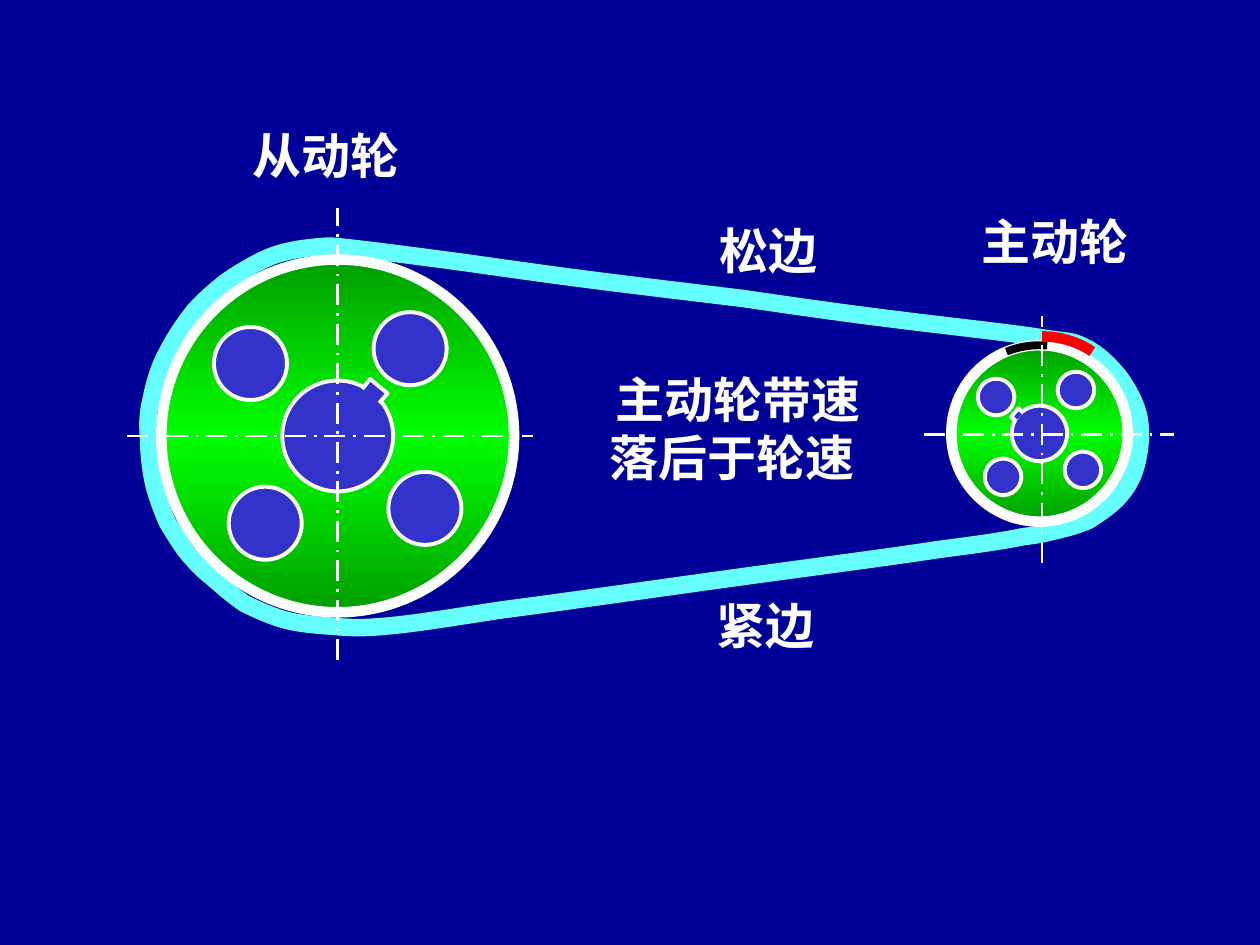
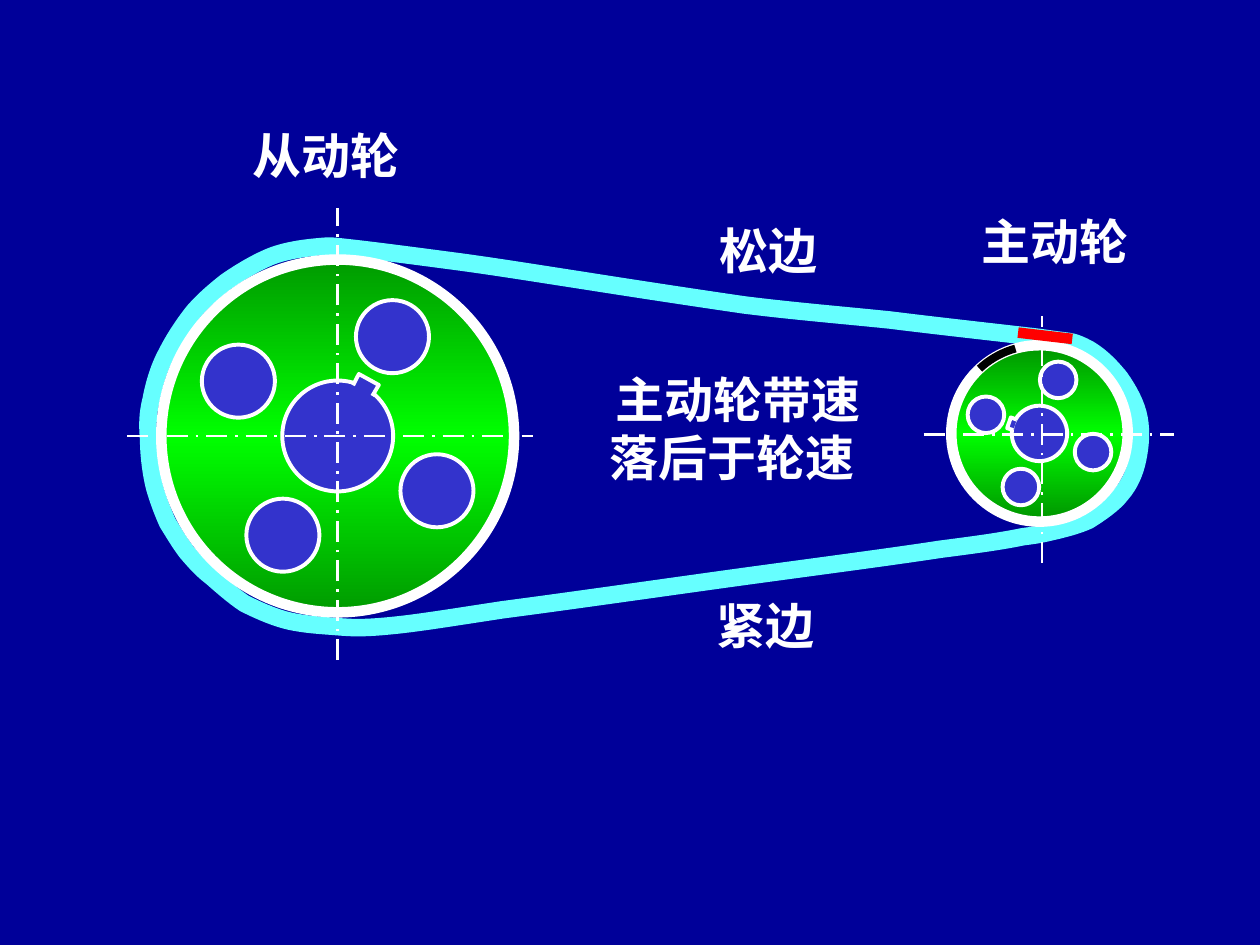
from math import cos, radians, sin

from lxml import etree
from pptx import Presentation
from pptx.dml.color import RGBColor
from pptx.enum import dml, shapes, text
from pptx.oxml import parse_xml
from pptx.oxml.ns import nsdecls, qn
from pptx.util import Inches, Pt

COLORS = {"background": "000099", "belt": "66FFFF", "white": "FFFFFF", "hole": "3333CC",
          "rim_dark": "007500", "rim_light": "00FF00", "wheel_mark": "000000", "belt_mark": "FF0000"}
FONT = "Times New Roman"

DRIVEN = {"center": (2.68, 3.46), "scale": 1, "key_spoke": 3}
DRIVER = {"center": (8.25, 3.44), "scale": 0.5, "key_spoke": 2}

LABELS = [("主动轮 ", 7.55, 1.63, 1.74, 0.57),
          ("从动轮 ", 1.76, 0.95, 1.74, 0.57),
          ("主动轮带速落后于轮速 ", 4.67, 2.88, 2.37, 1.04),
          ("松边 ", 5.55, 1.7, 1.18, 0.57),
          ("紧边 ", 5.53, 4.68, 1.18, 0.57)]

CENTER_LINES = [((1.01, 3.46), (4.23, 3.46)), ((2.68, 5.24), (2.68, 1.65)),
                ((7.33, 3.45), (9.32, 3.45)), ((8.27, 4.47), (8.27, 2.51))]

BELT_START = (8.26, 2.68)
STRAIGHT_SLACK = [
    (8.01, 2.64), (7.45, 2.58), (7.06, 2.53), (6.66, 2.48), (6.31, 2.43), (5.9, 2.37),
    (5.49, 2.32), (4.98, 2.26), (4.6, 2.21), (4.21, 2.16), (3.88, 2.11), (3.58, 2.07)]
SAGGING_SLACK = [
    (8.01, 2.65), (7.46, 2.59), (7.06, 2.54), (6.67, 2.5), (6.3, 2.47), (5.9, 2.42),
    (5.49, 2.36), (5.03, 2.29), (4.65, 2.23), (4.26, 2.17), (3.89, 2.11), (3.58, 2.07)]
BELT_REST = [
    (3.28, 2.03), (2.97, 1.99), (2.79, 1.97), (2.61, 1.95), (2.63, 1.95), (2.52, 1.96),
    (2.41, 1.97), (2.26, 1.99), (2.14, 2.04), (2.02, 2.09), (1.89, 2.17), (1.79, 2.24),
    (1.69, 2.32), (1.62, 2.38), (1.54, 2.47), (1.46, 2.57), (1.38, 2.69), (1.32, 2.81),
    (1.26, 2.92), (1.22, 3.06), (1.2, 3.17), (1.17, 3.29), (1.17, 3.37), (1.18, 3.49),
    (1.18, 3.61), (1.2, 3.77), (1.23, 3.88), (1.26, 3.98), (1.29, 4.06), (1.33, 4.15),
    (1.38, 4.23), (1.42, 4.3), (1.48, 4.38), (1.54, 4.45), (1.6, 4.52), (1.68, 4.58),
    (1.76, 4.65), (1.85, 4.73), (1.94, 4.79), (2.04, 4.84), (2.15, 4.89), (2.26, 4.92),
    (2.37, 4.95), (2.49, 4.96), (2.63, 4.97), (2.76, 4.98), (2.84, 4.99), (3.06, 4.97),
    (3.29, 4.95), (3.53, 4.91), (3.99, 4.84), (4.45, 4.78), (5.22, 4.67), (5.8, 4.59),
    (6.38, 4.51), (7.07, 4.42), (7.46, 4.36), (7.85, 4.31), (7.97, 4.29), (8.12, 4.26),
    (8.28, 4.24), (8.3, 4.23), (8.39, 4.21), (8.47, 4.19), (8.55, 4.17), (8.64, 4.13),
    (8.72, 4.08), (8.84, 4), (8.9, 3.92), (8.97, 3.84), (9.01, 3.74), (9.03, 3.64),
    (9.05, 3.54), (9.06, 3.43), (9.04, 3.32), (9.02, 3.21), (8.96, 3.1), (8.89, 3),
    (8.81, 2.9), (8.71, 2.8), (8.6, 2.75), (8.49, 2.7), (8.52, 2.72), BELT_START]
BELT_MARK_CURVE = [(8.27, 2.67), (8.41, 2.67), (8.55, 2.71), (8.67, 2.79)]
BELT_MARK_LINE = ((8.08, 2.64), (8.51, 2.69))


def polar(center, radius, angle):
    return (center[0] + radius * cos(radians(angle)), center[1] + radius * sin(radians(angle)))


class Drawing:
    def __init__(self, prs):
        self.prs = prs
        self.s = None

    def new_slide(self):
        self.s = self.prs.slides.add_slide(self.prs.slide_layouts[6])
        fill = self.s.background.fill
        fill.solid()
        fill.fore_color.rgb = RGBColor.from_string(COLORS["background"])

    def style(self, sp, line, width, fill=None):
        sp.shadow.inherit = False
        sp.line.color.rgb = RGBColor.from_string(COLORS[line])
        sp.line.width = Pt(width)
        if fill:
            sp.fill.solid()
            sp.fill.fore_color.rgb = RGBColor.from_string(COLORS[fill])
        else:
            sp.fill.background()

    def circle(self, center, radius, width, fill=None):
        x, y = center
        sp = self.s.shapes.add_shape(shapes.MSO_SHAPE.OVAL, Inches(x - radius), Inches(y - radius),
                                     Inches(2 * radius), Inches(2 * radius))
        self.style(sp, "white", width, fill)
        return sp

    def rim(self, center, radius, turn):
        sp = self.circle(center, radius, 6)
        sp.rotation = turn
        stops = "".join(f'<a:gs pos="{pos}"><a:srgbClr val="{COLORS[color]}"/></a:gs>'
                        for pos, color in ((0, "rim_dark"), (50000, "rim_light"), (100000, "rim_dark")))
        grad = parse_xml(f'<a:gradFill {nsdecls("a")} rotWithShape="0"><a:gsLst>{stops}</a:gsLst>'
                         '<a:lin ang="5400000" scaled="1"/></a:gradFill>')
        spPr = sp._element.spPr
        spPr.replace(spPr.find(qn("a:noFill")), grad)

    def outline(self, points, line, width, fill=None, close=False):
        points = [(Inches(x), Inches(y)) for x, y in points]
        builder = self.s.shapes.build_freeform(*points[0])
        builder.add_line_segments(points[1:], close=close)
        sp = builder.convert_to_shape()
        self.style(sp, line, width, fill)
        return sp

    def curve(self, points, line, width, close=False):
        sp = self.outline(points, line, width, close=close)
        segments = list(sp._element.iter(qn("a:lnTo")))
        for i in range(0, len(segments), 3):
            bezier = etree.Element(qn("a:cubicBezTo"))
            segments[i].addprevious(bezier)
            for segment in segments[i:i + 3]:
                bezier.append(segment[0])
                segment.getparent().remove(segment)

    def line(self, start, end, color, width, dash=None):
        c = self.s.shapes.add_connector(shapes.MSO_CONNECTOR.STRAIGHT,
                                        *(Inches(v) for v in (*start, *end)))
        c.line.color.rgb = RGBColor.from_string(COLORS[color])
        c.line.width = Pt(width)
        if dash:
            c.line.dash_style = dash
        etree.SubElement(c._element.spPr, qn("a:effectLst"))

    def label(self, words, *box):
        tf = self.s.shapes.add_textbox(*(Inches(v) for v in box)).text_frame
        tf.word_wrap = True
        tf.auto_size = text.MSO_AUTO_SIZE.SHAPE_TO_FIT_TEXT
        p = tf.paragraphs[0]
        p.text = words
        p.alignment = text.PP_ALIGN.CENTER
        p.font.name = FONT
        p.font.size = Pt(28)
        p.font.bold = True
        p.font.color.rgb = RGBColor.from_string(COLORS["white"])

    def wheel(self, center, scale, key_spoke, turn):
        self.rim(center, 1.4 * scale, turn)
        for spoke in range(4):
            self.circle(polar(center, 0.9 * scale, turn + 90 * spoke), 0.29 * scale, 2.25, "hole")
        self.circle(center, 0.44 * scale, 2.25, "hole")
        key_angle = turn + 90 * key_spoke
        key = [polar(center, radius * scale, key_angle + offset)
               for radius, offset in ((0.42, -12), (0.52, -10), (0.52, 10), (0.42, 12))]
        self.outline(key, "white", 2.25, "hole")

    def wheel_mark(self, turn):
        arc = [polar(DRIVER["center"], 0.7, turn - 125 - step) for step in range(0, 28, 3)]
        self.outline(arc, "wheel_mark", 4.5)

    def drive(self, slack_side, driver_turn, driven_turn):
        self.new_slide()
        self.curve([BELT_START] + slack_side + BELT_REST, "belt", 10, close=True)
        self.wheel(**DRIVER, turn=driver_turn)
        self.wheel_mark(driver_turn)
        self.wheel(**DRIVEN, turn=driven_turn)
        for start, end in CENTER_LINES:
            self.line(start, end, "white", 1.5, dml.MSO_LINE.LONG_DASH_DOT)
        for label in LABELS:
            self.label(*label)


def main():
    prs = Presentation()
    prs.slide_width, prs.slide_height = Inches(10), Inches(7.5)
    drawing = Drawing(prs)
    drawing.drive(STRAIGHT_SLACK, driver_turn=40, driven_turn=39.7)
    drawing.curve(BELT_MARK_CURVE, "belt_mark", 6)
    drawing.drive(SAGGING_SLACK, driver_turn=19.2, driven_turn=28.9)
    drawing.line(*BELT_MARK_LINE, "belt_mark", 6)
    prs.save("out.pptx")


if __name__ == "__main__":
    main()
